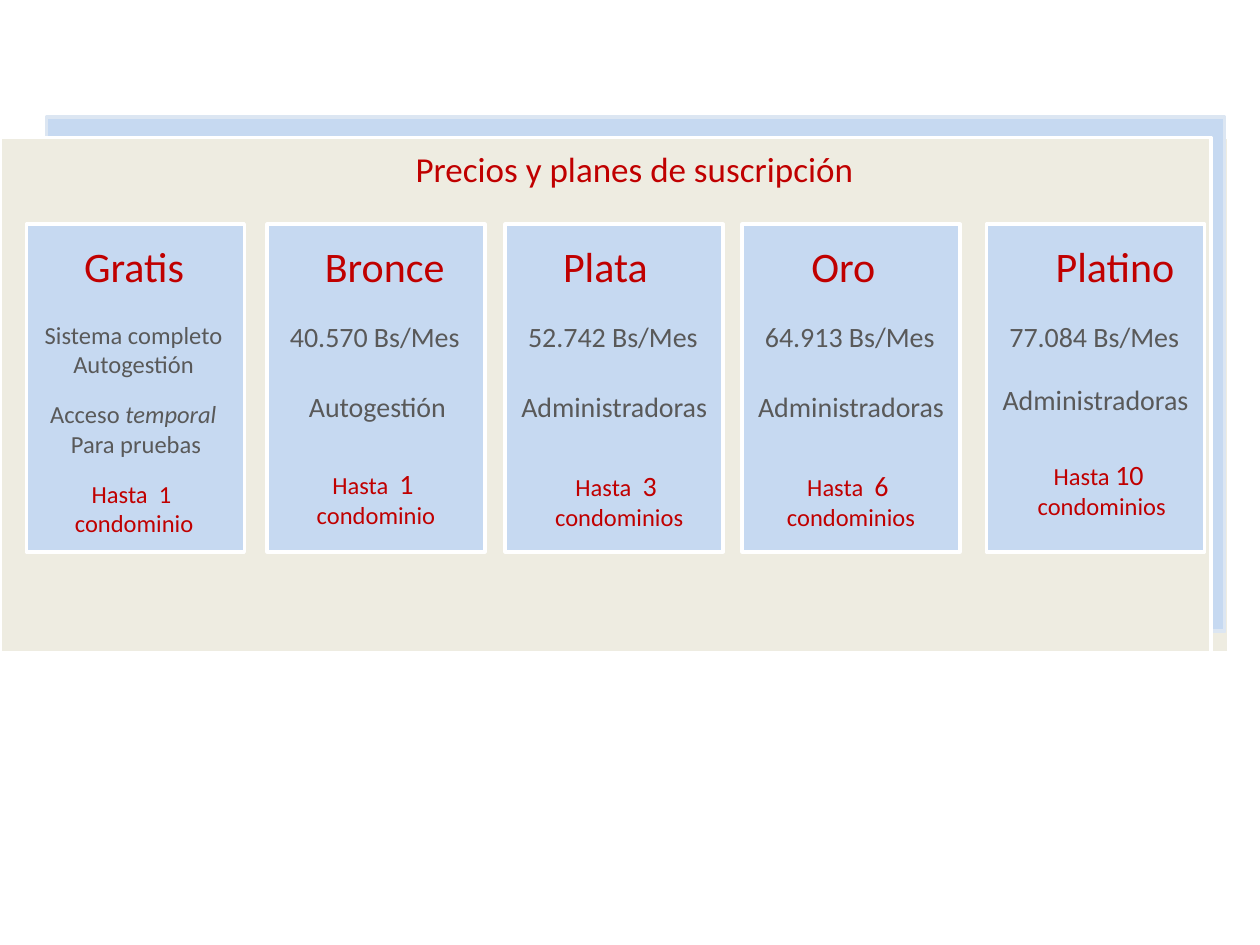
from dataclasses import dataclass

from pptx import Presentation
from pptx.dml.color import RGBColor
from pptx.enum.shapes import MSO_SHAPE
from pptx.enum.text import MSO_AUTO_SIZE, PP_ALIGN
from pptx.slide import Slide
from pptx.util import Inches, Pt

RECTANGLE = MSO_SHAPE.RECTANGLE
GROW = MSO_AUTO_SIZE.SHAPE_TO_FIT_TEXT
LEFT = PP_ALIGN.LEFT
CENTER = PP_ALIGN.CENTER

WHITE = RGBColor(0xFF, 0xFF, 0xFF)
CREAM = RGBColor(0xEE, 0xEC, 0xE1)
SKY = RGBColor(0xC6, 0xD9, 0xF1)
PALE = RGBColor(0xDC, 0xE6, 0xF2)
RED = RGBColor(0xC0, 0x00, 0x00)
GRAY = RGBColor(0x59, 0x59, 0x59)

FONT = "Calibri"
CARD_TOP, CARD_WIDTH, CARD_HEIGHT = 1.78, 1.73, 2.6


@dataclass(frozen=True)
class Span:
    text: str
    size: int
    italic: bool = False


Lines = list[list[Span]]


@dataclass(frozen=True)
class Label:
    indent: float
    top: float
    width: float
    height: float
    lines: Lines
    color: RGBColor = GRAY
    align: PP_ALIGN = CENTER


@dataclass(frozen=True)
class Plan:
    left: float
    labels: list[Label]


def add_panel(slide: Slide, left: float, top: float, width: float, height: float,
              fill: RGBColor, line: RGBColor = WHITE) -> None:
    panel = slide.shapes.add_shape(
        RECTANGLE, Inches(left), Inches(top), Inches(width), Inches(height))
    panel.shadow.inherit = False
    panel.fill.solid()
    panel.fill.fore_color.rgb = fill
    panel.line.color.rgb = line
    panel.line.width = Pt(2)


def add_label(slide: Slide, label: Label, left: float = 0) -> None:
    box = slide.shapes.add_textbox(
        Inches(left + label.indent), Inches(label.top),
        Inches(label.width), Inches(label.height))
    frame = box.text_frame
    frame.word_wrap = False
    frame.auto_size = GROW
    for index, line in enumerate(label.lines):
        para = frame.add_paragraph() if index else frame.paragraphs[0]
        para.alignment = label.align
        for span in line:
            run = para.add_run()
            run.text = span.text
            run.font.name = FONT
            run.font.size = Pt(span.size)
            run.font.italic = span.italic
            run.font.color.rgb = label.color


def name_label(name: str, indent: float, width: float) -> Label:
    return Label(indent, 1.86, width, 0.5, [[Span(name, 24)]], RED, LEFT)


def paid_plan(left: float, name: Label, price: str, audience: Label,
              limit: Label) -> Plan:
    price_label = Label(0.07, 2.49, 1.57, 0.37, [[Span(f"{price} Bs/Mes", 16)]])
    return Plan(left, [name, price_label, audience, limit])


def managers(top: float = 3.04) -> Label:
    return Label(0.02, top, 1.69, 0.37, [[Span("Administradoras", 16)]])


def limit_label(indent: float, top: float, width: float, prefix: str,
                count: str, unit: str) -> Label:
    lines = [[Span(prefix, 14), Span(f"{count} ", 16)], [Span(unit, 14)]]
    return Label(indent, top, width, 0.61, lines, RED)


HEADING = Label(3.2, 1.12, 3.71, 0.44,
                [[Span("Precios y planes de suscripción", 20)]], RED, LEFT)

PLANS = [
    Plan(0.21, [
        name_label("Gratis", 0.36, 1),
        Label(0.04, 2.49, 1.62, 0.57,
              [[Span("Sistema completo", 14)], [Span("Autogestión", 14)]]),
        Label(0.08, 3.12, 1.58, 0.57,
              [[Span("Acceso ", 14), Span("temporal ", 14, True)],
               [Span("Para pruebas", 14)]]),
        Label(0.28, 3.75, 1.15, 0.57,
              [[Span("Hasta  1 ", 14)], [Span("condominio", 14)]], RED),
    ]),
    paid_plan(2.12, name_label("Bronce", 0.36, 1.16), "40.570",
              Label(0.22, 3.04, 1.31, 0.37, [[Span("Autogestión", 16)]]),
              limit_label(0.29, 3.65, 1.15, "Hasta  ", "1", "condominio")),
    paid_plan(4.01, name_label("Plata", 0.36, 0.88), "52.742", managers(),
              limit_label(0.29, 3.67, 1.23, "Hasta  ", "3", "condominios")),
    paid_plan(5.89, name_label("Oro", 0.45, 0.71), "64.913", managers(),
              limit_label(0.25, 3.67, 1.23, "Hasta  ", "6", "condominios")),
    paid_plan(7.83, name_label("Platino", 0.45, 1.15), "77.084", managers(2.99),
              limit_label(0.3, 3.58, 1.23, "Hasta ", "10", "condominios")),
]


def main() -> None:
    deck = Presentation()
    deck.slide_width = Inches(10)
    deck.slide_height = Inches(7.5)
    slide = deck.slides.add_slide(deck.slide_layouts[6])

    add_panel(slide, 0.14, 1.09, 9.61, 4.09, CREAM)
    add_panel(slide, 0.37, 0.93, 9.35, 4.08, SKY, PALE)
    add_panel(slide, 0, 1.09, 9.61, 4.09, CREAM)
    for plan in PLANS:
        add_panel(slide, plan.left, CARD_TOP, CARD_WIDTH, CARD_HEIGHT, SKY)
        for label in plan.labels:
            add_label(slide, label, plan.left)
    add_label(slide, HEADING)

    deck.save("out.pptx")


if __name__ == "__main__":
    main()
